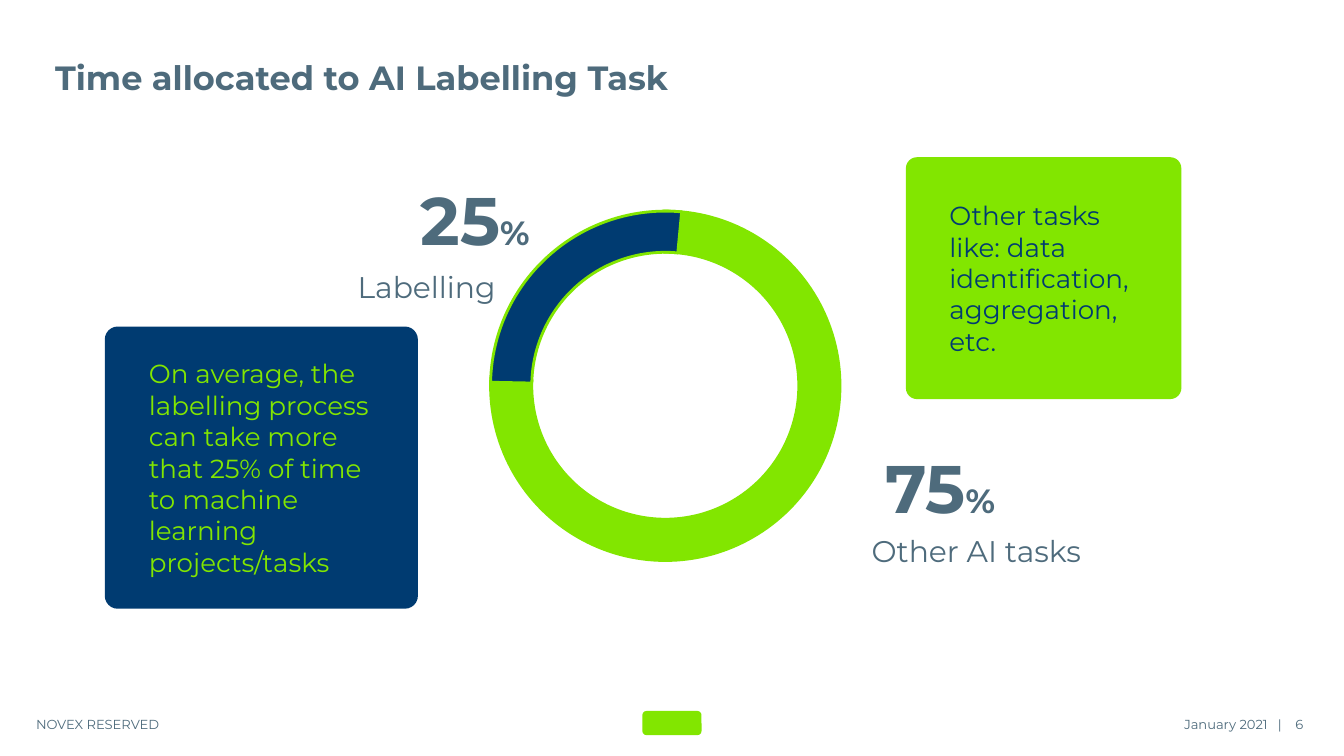
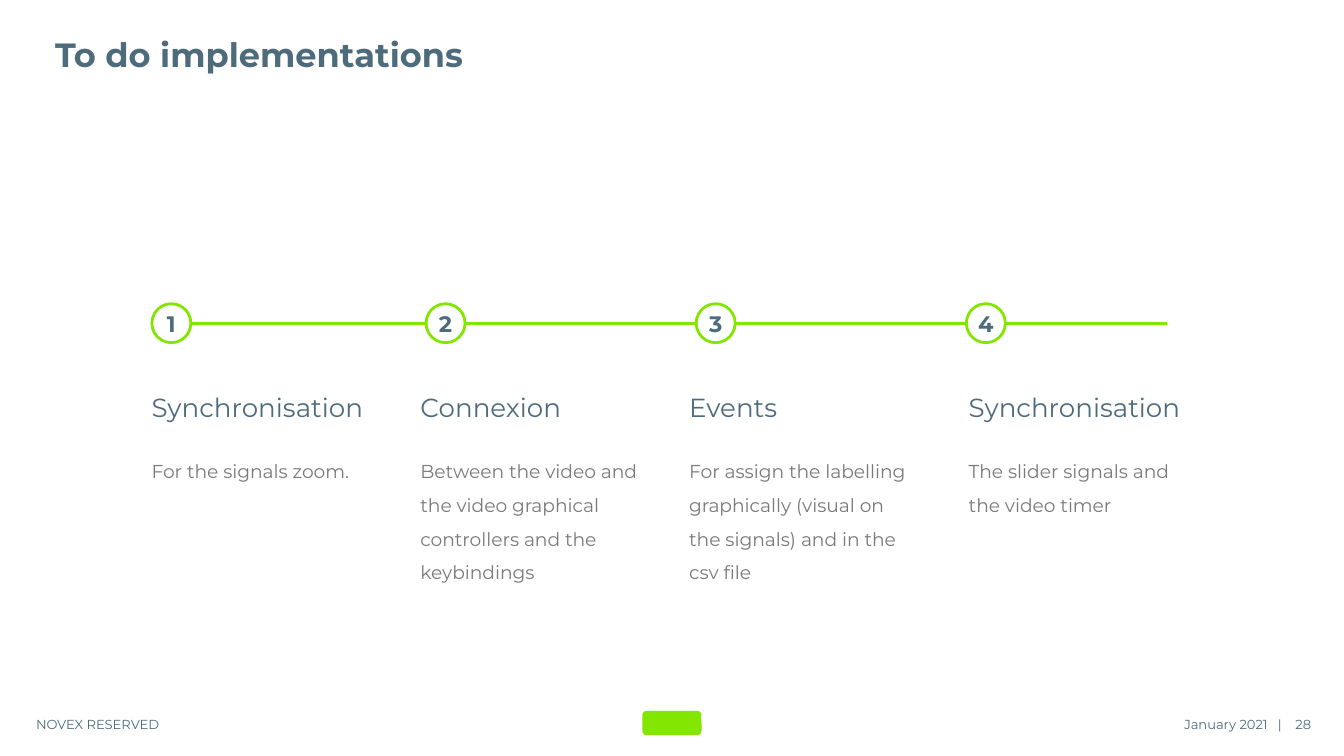
from typing import Any, NamedTuple

from lxml import etree
from pptx import Presentation
from pptx.dml.color import RGBColor
from pptx.enum import shapes, text
from pptx.oxml import ns
from pptx.util import Inches, Pt

FONT = "Montserrat"
COLORS = {
    "slate": "4E6B7C",
    "green": "82E600",
    "navy": "003B71",
    "gray": "7A7A7A",
    "white": "FFFFFF",
}
LEFT, CENTER, RIGHT = text.PP_ALIGN.LEFT, text.PP_ALIGN.CENTER, text.PP_ALIGN.RIGHT
TOP, MIDDLE = text.MSO_ANCHOR.TOP, text.MSO_ANCHOR.MIDDLE
SHAPE = shapes.MSO_SHAPE
LINE_WIDTH = 1.5
PAGE_WIDTH = Inches(10)
PAGE_HEIGHT = PAGE_WIDTH * 9 // 16  # widescreen


class Box(NamedTuple):
    left: float
    top: float
    width: float
    height: float

    def lengths(self) -> list[Inches]:
        return [Inches(value) for value in self]


class Span(NamedTuple):
    words: str
    size: float
    color: str = "slate"
    bold: bool = False


class Share(NamedTuple):
    number: str
    number_box: Box
    label: str
    label_box: Box
    color: str
    rotation: float
    start: float  # arc angles in degrees
    end: float


class Card(NamedTuple):
    words: str
    box: Box
    fill: str
    color: str


class Step(NamedTuple):
    circle_left: float
    text_left: float
    heading: str
    detail: str


# Time allocation
RING = Box(3.65, 1.57, 2.6, 2.6)
RING_THICKNESS = 0.118
SHARES = [
    Share("75", Box(6.22, 3.24, 1.55, 0.76), "Other AI tasks",
          Box(6.31, 3.87, 1.91, 0.46), "green", 180, 89.41, 2.58),
    Share("25", Box(2.76, 1.25, 1.55, 0.76), "Labelling",
          Box(2.22, 1.9, 1.91, 0.46), "navy", 272.8, 268.38, 2.58),
]
CARDS = [
    Card("On average, the labelling process can take more that 25% of time "
         "to machine learning projects/tasks",
         Box(0.78, 2.43, 2.33, 2.1), "navy", "green"),
    Card("Other tasks like: data identification, aggregation, etc.",
         Box(6.74, 1.17, 2.05, 1.8), "green", "navy"),
]

# Implementation steps
CIRCLE_TOP, CIRCLE_SIZE = 2.26, 0.29
TIMELINE_Y, TIMELINE_START, TIMELINE_END = 2.41, 1.42, 8.68
STEPS = [
    Step(1.13, 1.03, "Synchronisation", "For the signals zoom."),
    Step(3.17, 3.03, "Connexion",
         "Between the video and the video graphical controllers and the keybindings"),
    Step(5.18, 5.03, "Events",
         "For assign the labelling graphically (visual on the signals) and in the csv file"),
    Step(7.19, 7.11, "Synchronisation", "The slider signals and the video timer"),
]


def rgb(name: str) -> RGBColor:
    return RGBColor.from_string(COLORS[name])


def apply(target: Any, values: dict[str, Any]) -> None:
    for name, value in values.items():
        setattr(target, name, value)


def write(shape: Any, spans: list[Span], align: Any = LEFT, anchor: Any = MIDDLE,
          left: float = 0.1, right: float = 0.1, spacing: float = 1.0) -> None:
    """Fill a shape with one formatted paragraph."""
    frame = shape.text_frame
    apply(frame, {
        "word_wrap": True, "auto_size": text.MSO_AUTO_SIZE.NONE, "vertical_anchor": anchor,
        "margin_left": Inches(left), "margin_right": Inches(right),
        "margin_top": Inches(0.1), "margin_bottom": Inches(0.1),
    })
    para = frame.paragraphs[0]
    apply(para, {"alignment": align, "line_spacing": spacing})
    for span in spans:
        run = para.add_run()
        run.text = span.words
        apply(run.font, {"name": FONT, "size": Pt(span.size), "bold": span.bold})
        run.font.color.rgb = rgb(span.color)


def add_text(page: Any, box: Box, spans: list[Span], **layout: Any) -> None:
    write(page.shapes.add_textbox(*box.lengths()), spans, **layout)


def add_shape(page: Any, kind: Any, box: Box, fill: str, line: str | None = None) -> Any:
    shape = page.shapes.add_shape(kind, *box.lengths())
    shape.shadow.inherit = False
    shape.fill.solid()
    shape.fill.fore_color.rgb = rgb(fill)
    if line:
        shape.line.color.rgb = rgb(line)
        shape.line.width = Pt(LINE_WIDTH)
    else:
        shape.line.fill.background()
    return shape


def add_page(deck: Any, title: str, title_top: float, number: int) -> Any:
    """Add a slide with its title, footer and page number."""
    page = deck.slides.add_slide(deck.slide_layouts[5])
    heading = page.shapes.title
    sides = ("left", "top", "width", "height")
    apply(heading, dict(zip(sides, Box(0.31, title_top, 9.38, 0.37).lengths())))
    write(heading, [Span(title, 18, bold=True)], anchor=TOP)

    add_shape(page, SHAPE.ROUNDED_RECTANGLE, Box(4.78, 5.29, 0.44, 0.18), "green")
    add_text(page, Box(0.17, 5.29, 2.17, 0.19), [Span("NOVEX RESERVED", 7)])
    add_text(page, Box(7.49, 5.29, 2.17, 0.19), [Span("January 2021   | ", 7)], align=RIGHT)
    add_text(page, Box(9.54, 5.29, 0.29, 0.19), [Span(str(number), 7)], right=0)
    return page


def add_share(page: Any, share: Share) -> None:
    arc = add_shape(page, SHAPE.BLOCK_ARC, RING, share.color, "green")
    arc.rotation = share.rotation
    # One degree is 60000 units, and adjustments count in 100000
    for index, value in enumerate((share.start * 0.6, share.end * 0.6, RING_THICKNESS)):
        arc.adjustments[index] = value
    add_text(page, share.number_box,
             [Span(share.number, 36, bold=True), Span("%", 18, bold=True)], align=CENTER)
    add_text(page, share.label_box, [Span(share.label, 16)], align=CENTER)


def add_card(page: Any, card: Card) -> None:
    shape = add_shape(page, SHAPE.ROUNDED_RECTANGLE, card.box, card.fill)
    shape.adjustments[0] = 0.046
    write(shape, [Span(card.words, 14, card.color)], left=0.3, right=0.3)


def add_timeline(page: Any) -> None:
    y = Inches(TIMELINE_Y)
    line = page.shapes.add_connector(shapes.MSO_CONNECTOR.STRAIGHT,
                                     Inches(TIMELINE_START), y, Inches(TIMELINE_END), y)
    line.line.color.rgb = rgb("green")
    line.line.width = Pt(LINE_WIDTH)
    etree.SubElement(line._element.spPr, ns.qn("a:effectLst"))


def add_step(page: Any, number: int, step: Step) -> None:
    circle = add_shape(page, SHAPE.OVAL,
                       Box(step.circle_left, CIRCLE_TOP, CIRCLE_SIZE, CIRCLE_SIZE),
                       "white", "green")
    write(circle, [Span(str(number), 12, bold=True)], align=CENTER, left=0, right=0)
    add_text(page, Box(step.text_left, 2.78, 1.86, 0.42), [Span(step.heading, 14)],
             anchor=TOP, spacing=1.15)
    add_text(page, Box(step.text_left, 3.24, 1.86, 0.82), [Span(step.detail, 10, "gray")],
             anchor=TOP, spacing=1.5)


def main() -> None:
    deck = Presentation()
    apply(deck, {"slide_width": PAGE_WIDTH, "slide_height": PAGE_HEIGHT})

    # Time allocation slide
    page = add_page(deck, "Time allocated to AI Labelling Task", 0.32, 6)
    for share in SHARES:
        add_share(page, share)
    for card in CARDS:
        add_card(page, card)

    # Implementation steps slide
    page = add_page(deck, "To do implementations", 0.15, 28)
    add_timeline(page)
    for number, step in enumerate(STEPS, start=1):
        add_step(page, number, step)

    deck.save("out.pptx")


if __name__ == "__main__":
    main()
